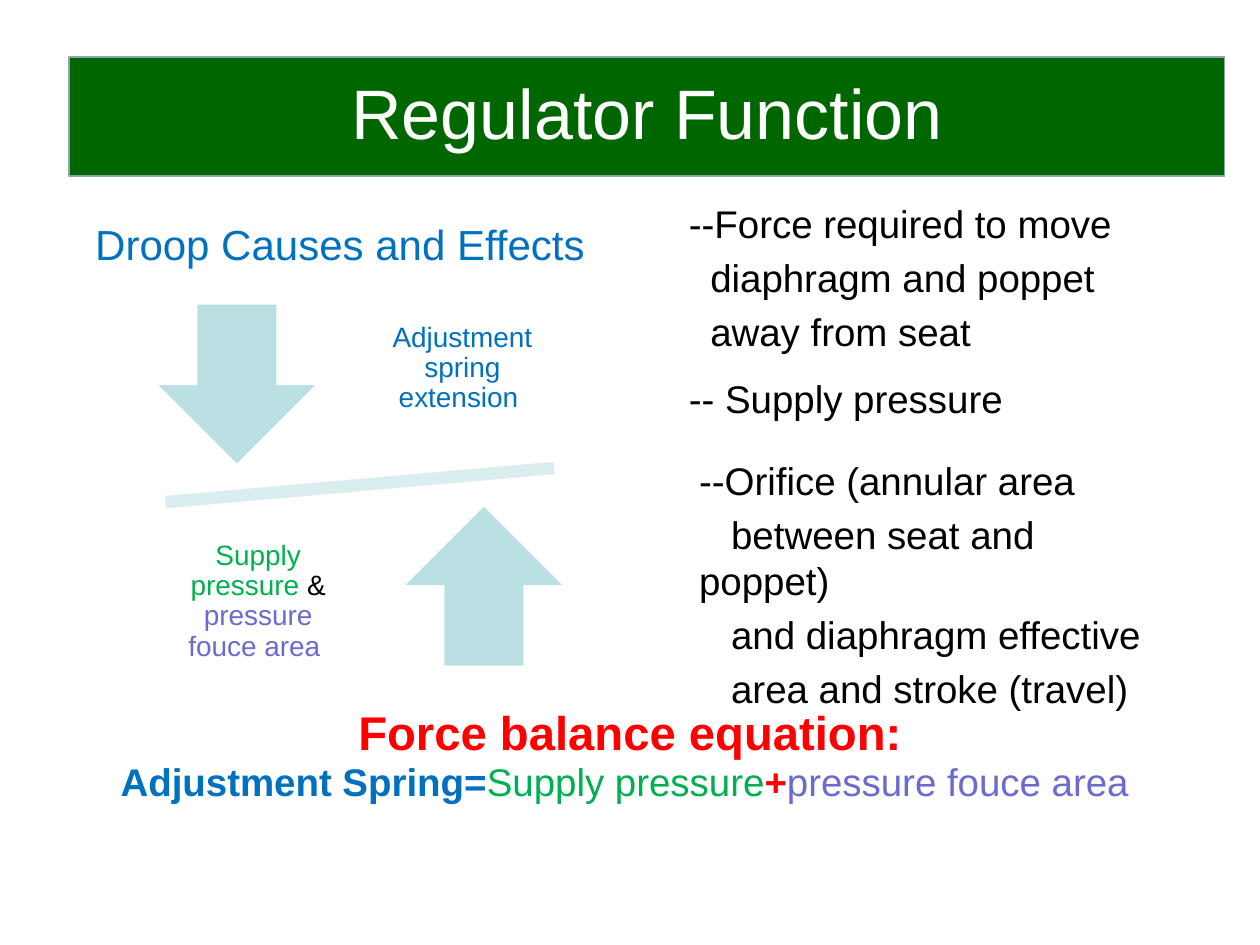
from pptx import Presentation
from pptx.dml.color import RGBColor
from pptx.enum.shapes import MSO_SHAPE
from pptx.enum.text import MSO_ANCHOR, MSO_AUTO_SIZE, PP_ALIGN
from pptx.util import Pt

RECTANGLE, BEAM = MSO_SHAPE.RECTANGLE, MSO_SHAPE.MATH_MINUS
DOWN, UP = MSO_SHAPE.DOWN_ARROW, MSO_SHAPE.UP_ARROW
TOP, MIDDLE = MSO_ANCHOR.TOP, MSO_ANCHOR.MIDDLE
LEFT, CENTER = PP_ALIGN.LEFT, PP_ALIGN.CENTER

BLACK, WHITE = RGBColor(0, 0, 0), RGBColor(255, 255, 255)
BLUE, GREEN = RGBColor(0x00, 0x70, 0xC0), RGBColor(0x00, 0xB0, 0x50)
VIOLET, RED = RGBColor(0x6B, 0x6B, 0xCF), RGBColor(255, 0, 0)
BANNER_FILL, BANNER_LINE = RGBColor(0x00, 0x66, 0x00), RGBColor(0x8A, 0xA6, 0xA8)
ARROW_FILL, BEAM_FILL = RGBColor(0xBB, 0xE0, 0xE3), RGBColor(0xDA, 0xED, 0xEF)

# Content: a paragraph is a list of (text, colour, bold, size) spans
BANNER = [[("Regulator Function", WHITE, False, 40)]]
HEADING = [[("Droop Causes and Effects ", BLUE, False, 24)]]
SPRING_LABEL = [[("Adjustment spring extension ", BLUE, False, 16)]]
SUPPLY_LABEL = [[("Supply pressure ", GREEN, False, 16),
                 ("& ", BLACK, False, 16),
                 ("pressure fouce area ", VIOLET, False, 16)]]
EQUATION = [
    [("Force balance equation:", RED, True, 27)],
    [("Adjustment Spring=", BLUE, True, 22),
     ("Supply pressure", GREEN, False, 22),
     ("+", RED, True, 22),
     ("pressure fouce area ", VIOLET, False, 22)],
]

# Causes: (left, top, width, height), first-line indent of later lines, lines
CAUSES = [
    ((350.6, 110.9, 317.5, 118), 12.2,
     ["--Force required to move", "diaphragm and poppet", "away from seat"]),
    ((350.6, 211, 317.5, 46), 0, ["-- Supply pressure"]),
    ((356.4, 257.8, 317.5, 132.5), 18.3,
     ["--Orifice (annular area", "between seat and poppet)",
      "and diaphragm effective", "area and stroke (travel)"]),
]
CAUSE_MARGIN = 36

# Balance diagram: kind, frame, fill, rotation
DIAGRAM_SHAPES = [
    (BEAM, (53.3, 259.9, 304.6, 34.6), BEAM_FILL, 355),
    (DOWN, (89.3, 173.5, 92.2, 92.2), ARROW_FILL, 0),
    (UP, (230.4, 288.7, 92.2, 92.2), ARROW_FILL, 0),
]
DIAGRAM_LABELS = [
    ((215.3, 162, 97.9, 97.2), SPRING_LABEL),
    ((98.6, 295.2, 97.9, 97.2), SUPPLY_LABEL),
]


def points(frame):
    return [Pt(length) for length in frame]


def write(box, paragraphs, align=CENTER, anchor=MIDDLE, line_spacing=1.0,
          space_before=0, inset=None, margin=0, later_indent=0):
    frame = box.text_frame
    frame.word_wrap = True
    frame.auto_size = MSO_AUTO_SIZE.NONE
    frame.vertical_anchor = anchor
    if inset is not None:
        frame.margin_left = frame.margin_right = Pt(inset)
        frame.margin_top = frame.margin_bottom = Pt(inset)
    for index, spans in enumerate(paragraphs):
        para = frame.add_paragraph() if index else frame.paragraphs[0]
        para.alignment = align
        para.line_spacing = line_spacing
        para.space_before = Pt(space_before if index else 0)
        if margin:
            properties = para._p.get_or_add_pPr()
            properties.set("marL", str(Pt(margin)))
            properties.set("indent", str(Pt(later_indent if index else 0)))
        for text, color, bold, size in spans:
            span = para.add_run()
            span.text = text
            span.font.name = "Arial"
            span.font.size = Pt(size)
            span.font.bold = bold
            span.font.color.rgb = color


def add_filled(shapes, kind, frame, fill, line, rotation=0):
    shape = shapes.add_shape(kind, *points(frame))
    shape.shadow.inherit = False
    shape.fill.solid()
    shape.fill.fore_color.rgb = fill
    shape.line.color.rgb = line
    shape.line.width = Pt(1)
    shape.rotation = rotation
    return shape


def main():
    deck = Presentation()
    deck.slide_width, deck.slide_height = Pt(720), Pt(540)
    page = deck.slides.add_slide(deck.slide_layouts[5])

    # Heading
    title = page.shapes.title
    title.left, title.top, title.width, title.height = points((44.6, 117.4, 306, 43.9))
    write(title, HEADING)

    # Balance diagram
    diagram = page.shapes.add_group_shape()
    for kind, frame, fill, rotation in DIAGRAM_SHAPES:
        add_filled(diagram.shapes, kind, frame, fill, WHITE, rotation)
    for frame, label in DIAGRAM_LABELS:
        write(diagram.shapes.add_textbox(*points(frame)), label,
              line_spacing=0.9, inset=8.6)

    # Causes on the right
    for frame, later_indent, lines in CAUSES:
        write(page.shapes.add_textbox(*points(frame)),
              [[(line, BLACK, False, 22)] for line in lines],
              align=LEFT, anchor=TOP, space_before=4.4,
              margin=CAUSE_MARGIN, later_indent=later_indent)

    # Equation
    write(page.shapes.add_textbox(*points((7.9, 404.6, 704.2, 79.9))), EQUATION,
          anchor=TOP, line_spacing=0.8, space_before=4.4)

    # Banner
    banner = add_filled(page.shapes, RECTANGLE, (39.6, 32.4, 660.2, 68.4),
                        BANNER_FILL, BANNER_LINE)
    write(banner, BANNER, line_spacing=0.9)

    deck.save("out.pptx")


if __name__ == "__main__":
    main()
